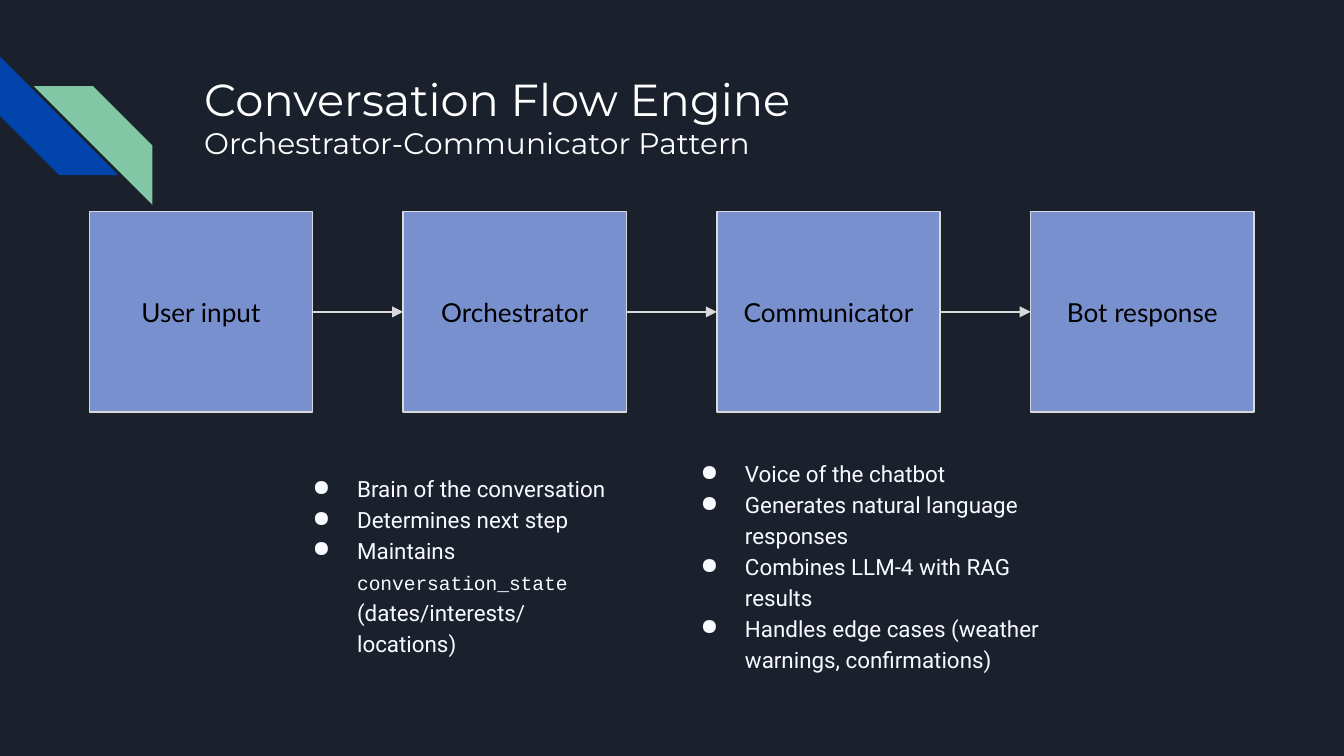
import pptx
import pptx.dml.color
import pptx.enum.shapes
import pptx.enum.text
import pptx.oxml
import pptx.oxml.ns
import pptx.util

Cm = pptx.util.Cm
Pt = pptx.util.Pt
RGBColor = pptx.dml.color.RGBColor
MSO_SHAPE = pptx.enum.shapes.MSO_SHAPE
MSO_ANCHOR = pptx.enum.text.MSO_ANCHOR
MSO_AUTO_SIZE = pptx.enum.text.MSO_AUTO_SIZE
PP_ALIGN = pptx.enum.text.PP_ALIGN

BACKGROUND = RGBColor(0x1B, 0x21, 0x2C)
BLUE = RGBColor(0x01, 0x45, 0xAC)
GREEN = RGBColor(0x82, 0xC7, 0xA5)
BOX_FILL = RGBColor(0x78, 0x90, 0xCD)
LINE = RGBColor(0xD9, 0xD9, 0xD9)
WHITE = RGBColor(0xFF, 0xFF, 0xFF)
BLACK = RGBColor(0, 0, 0)
BODY = RGBColor(0xF8, 0xFA, 0xFF)

STEPS = ["User input", "Orchestrator", "Communicator", "Bot response"]
BOX_LEFT, BOX_TOP, BOX_PITCH = 1.69, 4, 5.93
BOX_WIDTH, BOX_HEIGHT = 4.22, 3.79
RIGHT_SITE, LEFT_SITE = 3, 1

# Each bullet is a list of (text, font, size) runs
ORCHESTRATOR_NOTES = [
    [("Brain of the conversation", "Roboto", 12)],
    [("Determines next step", "Roboto", 12)],
    [("Maintains ", "Roboto", 12),
     ("conversation_state", "Courier New", 10.5),
     (" (dates/interests/ locations)", "Roboto", 12)],
]
COMMUNICATOR_NOTES = [
    [(text, "Roboto", 12)] for text in (
        "Voice of the chatbot",
        "Generates natural language responses",
        "Combines LLM-4 with RAG results",
        "Handles edge cases (weather warnings, confirmations)",
    )
]


def format_run(r, font, size, color):
    r.font.name = font
    r.font.size = Pt(size)
    r.font.color.rgb = color


def set_insets(tf):
    tf.margin_left = tf.margin_right = Cm(0.25)
    tf.margin_top = tf.margin_bottom = Cm(0.25)


def append_xml(parent, xml):
    """Append a drawing element, given as its tag and attributes."""
    ns = pptx.oxml.ns.nsdecls("a")
    parent.append(pptx.oxml.parse_xml(xml.replace(" ", f" {ns} ", 1)))


def add_shape(s, kind, left, top, width, height, fill):
    sp = s.shapes.add_shape(kind, Cm(left), Cm(top), Cm(width), Cm(height))
    sp.shadow.inherit = False
    sp.fill.solid()
    sp.fill.fore_color.rgb = fill
    sp.line.fill.background()
    return sp


def add_stripe(s, left, top, rotation, fill):
    sp = add_shape(s, MSO_SHAPE.DIAGONAL_STRIPE, left, top, 2.24, 2.24, fill)
    sp.rotation = rotation


def add_title(s):
    sp = s.shapes.title
    sp.left, sp.top, sp.width, sp.height = Cm(3.61), Cm(1.1), Cm(19.55), Cm(2.54)
    tf = sp.text_frame
    tf.text = "Conversation Flow Engine\nOrchestrator-Communicator Pattern"
    tf.word_wrap = True
    tf.auto_size = MSO_AUTO_SIZE.NONE
    tf.vertical_anchor = MSO_ANCHOR.TOP
    set_insets(tf)
    for p, size in zip(tf.paragraphs, (24, 15.9)):
        p.alignment = PP_ALIGN.LEFT
        p.line_spacing = 1.0
        p.space_before = Pt(0)
        format_run(p.runs[0], "Montserrat", size, WHITE)


def add_step(s, index, label):
    sp = add_shape(s, MSO_SHAPE.RECTANGLE, BOX_LEFT + index * BOX_PITCH, BOX_TOP,
                   BOX_WIDTH, BOX_HEIGHT, BOX_FILL)
    sp.line.color.rgb = LINE
    sp.line.width = Pt(0.75)
    tf = sp.text_frame
    tf.text = label
    tf.vertical_anchor = MSO_ANCHOR.MIDDLE
    set_insets(tf)
    p = tf.paragraphs[0]
    p.alignment = PP_ALIGN.CENTER
    format_run(p.runs[0], "Lato", 14, BLACK)
    return sp


def add_arrow(s, source, target):
    cxn = s.shapes.add_connector(pptx.enum.shapes.MSO_CONNECTOR.STRAIGHT, 0, 0, 0, 0)
    cxn.begin_connect(source, RIGHT_SITE)
    cxn.end_connect(target, LEFT_SITE)
    cxn.line.color.rgb = LINE
    cxn.line.width = Pt(0.75)
    append_xml(cxn.line._get_or_add_ln(), '<a:tailEnd type="triangle"/>')
    append_xml(cxn._element.spPr, "<a:effectLst />")


def add_bullets(s, left, top, width, height, bullets):
    sp = s.shapes.add_textbox(Cm(left), Cm(top), Cm(width), Cm(height))
    tf = sp.text_frame
    tf.word_wrap = True
    tf.auto_size = MSO_AUTO_SIZE.SHAPE_TO_FIT_TEXT
    set_insets(tf)
    for i, runs in enumerate(bullets):
        p = tf.add_paragraph() if i else tf.paragraphs[0]
        p.line_spacing = 1.15
        p.space_before = Pt(0 if i else 3)
        pPr = p._p.get_or_add_pPr()
        pPr.set("marL", str(Cm(1.27)))
        pPr.set("indent", str(-Cm(0.84)))
        append_xml(pPr, f'<a:buClr ><a:srgbClr val="{BODY}"/></a:buClr>')
        append_xml(pPr, '<a:buChar char="●"/>')
        for text, font, size in runs:
            r = p.add_run()
            r.text = text
            format_run(r, font, size, BODY)


def main():
    prs = pptx.Presentation()
    prs.slide_width, prs.slide_height = Cm(25.4), Cm(14.29)
    s = prs.slides.add_slide(prs.slide_layouts[5])
    s.background.fill.solid()
    s.background.fill.fore_color.rgb = BACKGROUND

    # Corner decoration and title
    add_stripe(s, 0, 1.07, 270, BLUE)
    add_stripe(s, 0.64, 1.63, 90, GREEN)
    add_title(s)

    # Flow from user input to bot response
    boxes = [add_step(s, i, label) for i, label in enumerate(STEPS)]
    for source, target in zip(boxes, boxes[1:]):
        add_arrow(s, source, target)

    # Notes under the two middle steps
    add_bullets(s, 5.23, 8.66, 6.6, 3.99, ORCHESTRATOR_NOTES)
    add_bullets(s, 12.56, 8.38, 7.62, 4.57, COMMUNICATOR_NOTES)

    prs.save("out.pptx")


if __name__ == "__main__":
    main()
